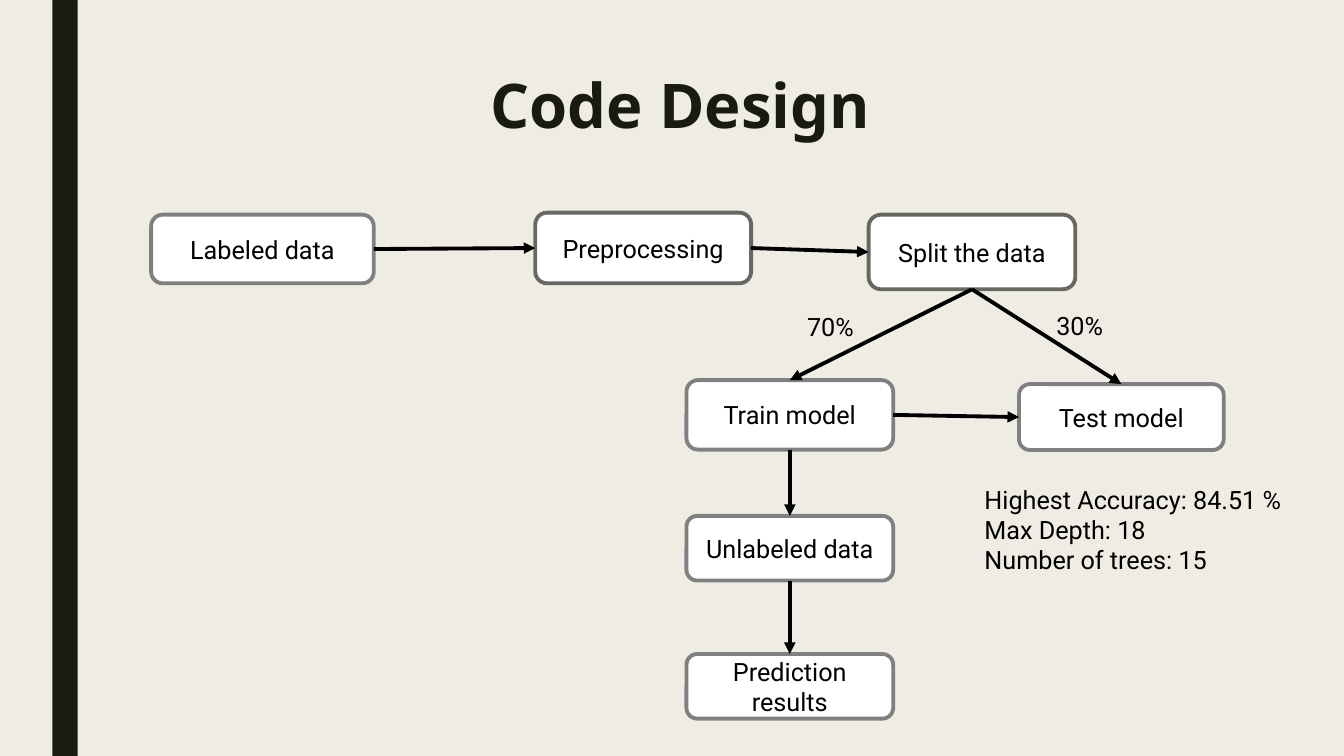
from dataclasses import dataclass

import pptx
import pptx.util
from lxml import etree
from pptx.dml.color import RGBColor
from pptx.enum.shapes import MSO_CONNECTOR, MSO_SHAPE
from pptx.enum.text import MSO_ANCHOR, PP_ALIGN
from pptx.oxml.ns import qn
from pptx.util import Cm, Pt

CREAM = RGBColor(0xEF, 0xED, 0xE3)
DARK = RGBColor(0x19, 0x1B, 0x0E)
WHITE = RGBColor(0xFF, 0xFF, 0xFF)
BLACK = RGBColor(0x00, 0x00, 0x00)
GRAY = RGBColor(0x80, 0x80, 0x80)
OLIVE_GRAY = RGBColor(0x68, 0x68, 0x63)

TITLE_FONT = "Noto Sans"
BODY_FONT = "Roboto"
LINE_WIDTH = Pt(2.75)
TOP, LEFT, BOTTOM, RIGHT = range(4)


@dataclass
class Step:
    text: str
    left: float
    top: float
    width: float
    height: float
    outline: RGBColor = GRAY


@dataclass
class Arrow:
    start: str
    start_side: int
    end: str
    end_side: int


@dataclass
class Label:
    text: str
    left: float
    top: float
    width: float
    height: float


COLUMN_LEFT, COLUMN_WIDTH = 17.3, 5.21

STEPS = [
    Step("Labeled data", 3.81, 5.41, 5.61, 1.73),
    Step("Preprocessing", 13.49, 5.36, 5.44, 1.78, OLIVE_GRAY),
    Step("Split the data", 21.89, 5.41, 5.21, 1.88, OLIVE_GRAY),
    Step("Train model", COLUMN_LEFT, 9.58, COLUMN_WIDTH, 1.75),
    Step("Test model", 25.68, 9.68, 5.16, 1.66),
    Step("Unlabeled data", COLUMN_LEFT, 13, COLUMN_WIDTH, 1.63),
    Step("Prediction results", COLUMN_LEFT, 16.48, COLUMN_WIDTH, 1.63),
]

ARROWS = [
    Arrow("Labeled data", RIGHT, "Preprocessing", LEFT),
    Arrow("Preprocessing", RIGHT, "Split the data", LEFT),
    Arrow("Split the data", BOTTOM, "Train model", TOP),
    Arrow("Split the data", BOTTOM, "Test model", TOP),
    Arrow("Train model", BOTTOM, "Unlabeled data", TOP),
    Arrow("Unlabeled data", BOTTOM, "Prediction results", TOP),
    Arrow("Train model", RIGHT, "Test model", LEFT),
]

LABELS = [
    Label("70%", 20.09, 7.72, 2.41, 1.02),
    Label("30%", 26.37, 7.7, 1.88, 1.02),
    Label("Highest Accuracy: 84.51 %\nMax Depth: 18\nNumber of trees: 15",
          24.56, 12.07, 8.36, 2.57),
]


def set_text(tf, text: str, size: float, font: str, color: RGBColor,
             align=PP_ALIGN.LEFT, bold: bool = False) -> None:
    tf.text = text
    tf.word_wrap = True
    for p in tf.paragraphs:
        p.alignment = align
        for r in p.runs:
            r.font.size = Pt(size)
            r.font.name = font
            r.font.bold = bold
            r.font.color.rgb = color


def add_step(s, step: Step):
    sp = s.shapes.add_shape(MSO_SHAPE.ROUNDED_RECTANGLE, Cm(step.left), Cm(step.top),
                            Cm(step.width), Cm(step.height))
    sp.shadow.inherit = False
    sp.fill.solid()
    sp.fill.fore_color.rgb = WHITE
    sp.line.width = LINE_WIDTH
    sp.line.color.rgb = step.outline
    set_text(sp.text_frame, step.text, 18, BODY_FONT, BLACK, PP_ALIGN.CENTER)
    sp.text_frame.vertical_anchor = MSO_ANCHOR.MIDDLE
    return sp


def add_arrow(s, arrow: Arrow, boxes: dict) -> None:
    cxn = s.shapes.add_connector(MSO_CONNECTOR.STRAIGHT, 0, 0, 0, 0)
    cxn.begin_connect(boxes[arrow.start], arrow.start_side)
    cxn.end_connect(boxes[arrow.end], arrow.end_side)
    cxn.line.width = LINE_WIDTH
    cxn.line.color.rgb = BLACK
    etree.SubElement(cxn.line._get_or_add_ln(), qn("a:tailEnd"), type="triangle")
    etree.SubElement(cxn._element.spPr, qn("a:effectLst"))


def add_label(s, label: Label) -> None:
    sp = s.shapes.add_textbox(Cm(label.left), Cm(label.top),
                              Cm(label.width), Cm(label.height))
    set_text(sp.text_frame, label.text, 18, BODY_FONT, BLACK)


def main() -> None:
    prs = pptx.Presentation()
    prs.slide_width, prs.slide_height = Cm(33.87), Cm(19.05)
    s = prs.slides.add_slide(prs.slide_layouts[5])

    # Background and side bar
    s.background.fill.solid()
    s.background.fill.fore_color.rgb = CREAM
    bar = s.shapes.add_shape(MSO_SHAPE.RECTANGLE, Cm(1.32), 0, Cm(0.64), prs.slide_height)
    bar.shadow.inherit = False
    bar.fill.solid()
    bar.fill.fore_color.rgb = DARK
    bar.line.fill.background()

    # Title
    title = s.shapes.title
    title.left, title.top, title.width, title.height = Cm(3.81), Cm(1.9), Cm(26.67), Cm(1.7)
    set_text(title.text_frame, "Code Design", 44, TITLE_FONT, DARK, PP_ALIGN.CENTER, True)
    title.text_frame.vertical_anchor = MSO_ANCHOR.MIDDLE
    title.text_frame.paragraphs[0].line_spacing = 0.89

    # Flowchart
    boxes = {step.text: add_step(s, step) for step in STEPS}
    for arrow in ARROWS:
        add_arrow(s, arrow, boxes)

    # Split shares and results
    for label in LABELS:
        add_label(s, label)

    prs.save("out.pptx")


if __name__ == "__main__":
    main()
